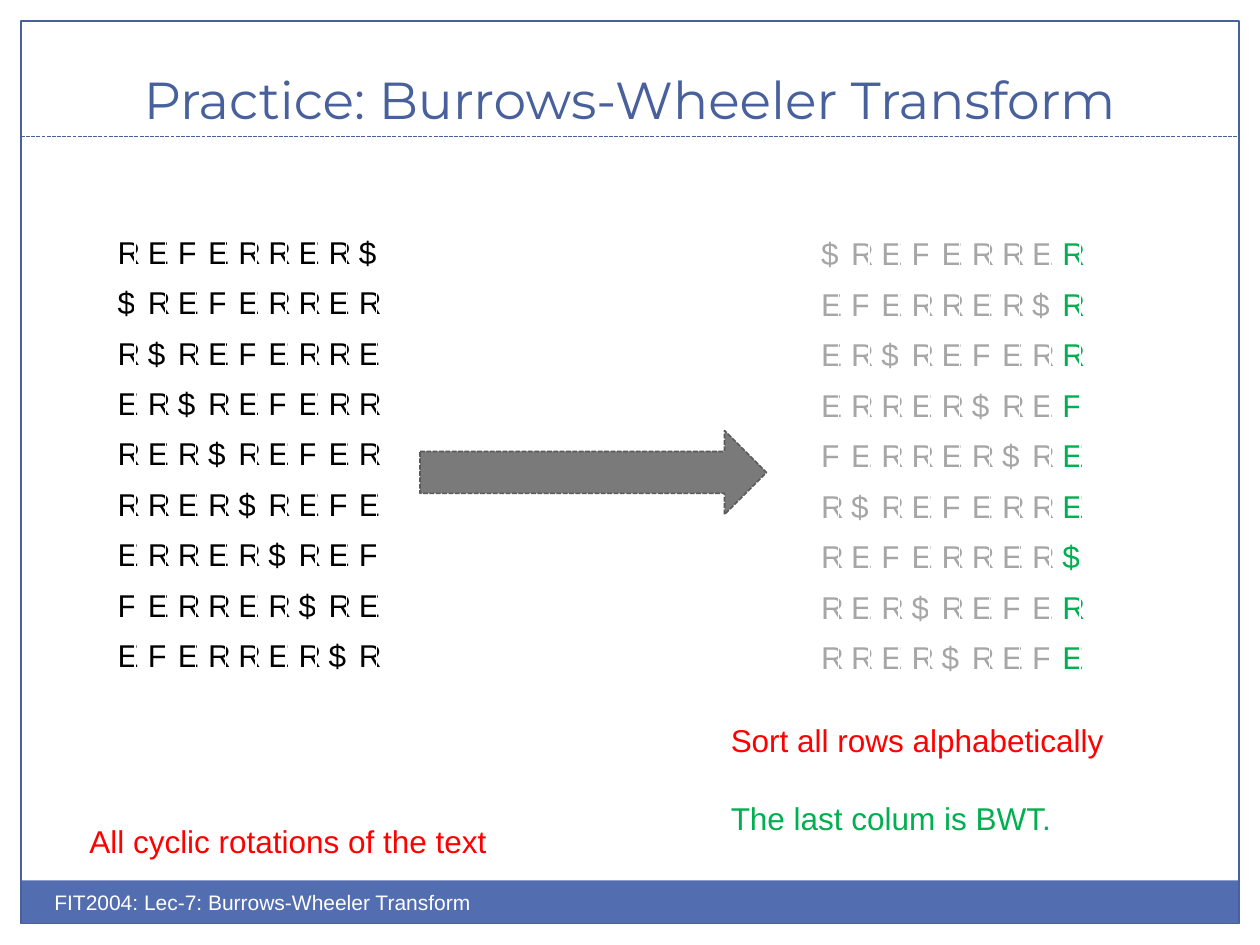
import pptx
import pptx.dml.color
import pptx.enum.dml
import pptx.enum.shapes
import pptx.enum.text
import pptx.oxml.ns
import pptx.util
from lxml import etree

Pt = pptx.util.Pt
RGBColor = pptx.dml.color.RGBColor
MSO_SHAPE = pptx.enum.shapes.MSO_SHAPE
MSO_ANCHOR = pptx.enum.text.MSO_ANCHOR
PP_ALIGN = pptx.enum.text.PP_ALIGN
DASH = pptx.enum.dml.MSO_LINE.SQUARE_DOT

BLUE = RGBColor(0x48, 0x60, 0x9B)
FOOTER_BLUE = RGBColor(0x52, 0x6D, 0xB0)
WHITE = RGBColor(0xFF, 0xFF, 0xFF)
BLACK = RGBColor(0x00, 0x00, 0x00)
RED = RGBColor(0xFF, 0x00, 0x00)
GREEN = RGBColor(0x00, 0xB0, 0x50)
LIGHT_GRAY = RGBColor(0xA6, 0xA6, 0xA6)
ARROW_FILL = RGBColor(0x7A, 0x7A, 0x7A)
ARROW_LINE = RGBColor(0x5A, 0x5A, 0x5A)

WORD = "REFERRER$"
COLUMN_WIDTH = 16.4
ROW_HEIGHT = 28.8


def style_paragraph(paragraph, size, color, font="Arial", align=PP_ALIGN.LEFT):
    paragraph.alignment = align
    for run in paragraph.runs:
        run.font.name = font
        run.font.size = Pt(size)
        run.font.color.rgb = color


def add_text(left, top, width, height, text):
    box = slide.shapes.add_textbox(Pt(left), Pt(top), Pt(width), Pt(height))
    box.text_frame.word_wrap = True
    box.text_frame.text = text
    return box.text_frame


presentation = pptx.Presentation()
presentation.slide_width = Pt(720)
presentation.slide_height = Pt(540)
slide = presentation.slides.add_slide(presentation.slide_layouts[6])

footer_bar = slide.shapes.add_shape(MSO_SHAPE.RECTANGLE, Pt(11.75), Pt(503), Pt(695.75), Pt(24.75))
footer_bar.shadow.inherit = False
footer_bar.fill.solid()
footer_bar.fill.fore_color.rgb = FOOTER_BLUE
footer_bar.line.fill.background()

frame = slide.shapes.add_shape(MSO_SHAPE.RECTANGLE, Pt(12), Pt(12), Pt(696), Pt(515.75))
frame.shadow.inherit = False
frame.fill.background()
frame.line.color.rgb = BLUE
frame.line.width = Pt(0.75)

title_rule = slide.shapes.add_connector(
    pptx.enum.shapes.MSO_CONNECTOR.STRAIGHT, Pt(12), Pt(78), Pt(708), Pt(78))
title_rule.line.color.rgb = BLUE
title_rule.line.width = Pt(0.75)
title_rule.line.dash_style = DASH
etree.SubElement(title_rule._element.spPr, pptx.oxml.ns.qn("a:effectLst"))

title = add_text(24, 18, 672, 60, "Practice: Burrows-Wheeler Transform")
title.vertical_anchor = MSO_ANCHOR.BOTTOM
style_paragraph(title.paragraphs[0], 29.7, BLUE, "Montserrat", PP_ALIGN.CENTER)

footer = add_text(24, 505, 360, 29, "FIT2004: Lec-7: Burrows-Wheeler Transform")
style_paragraph(footer.paragraphs[0], 12, WHITE)

rotation_label = add_text(44, 466, 244, 29, "All cyclic rotations of the text")
style_paragraph(rotation_label.paragraphs[0], 18, RED)

count = len(WORD)
rotations = [WORD[count - shift:] + WORD[:count - shift] for shift in range(count)]
tables = [
    (60, 131, rotations, BLACK, BLACK),
    (462, 132, sorted(rotations), LIGHT_GRAY, GREEN),
]
for left, top, rows, color, last_color in tables:
    table = slide.shapes.add_table(
        count, count, Pt(left), Pt(top), Pt(COLUMN_WIDTH * count), Pt(ROW_HEIGHT * count)).table
    table.first_row = False
    table.horz_banding = False
    for column in table.columns:
        column.width = Pt(COLUMN_WIDTH)
    for row, letters in zip(table.rows, rows):
        row.height = Pt(ROW_HEIGHT)
        for index, (cell, letter) in enumerate(zip(row.cells, letters)):
            cell.fill.background()
            cell.text_frame.text = letter
            letter_color = last_color if index == count - 1 else color
            style_paragraph(cell.text_frame.paragraphs[0], 18, letter_color, align=PP_ALIGN.CENTER)

arrow = slide.shapes.add_shape(MSO_SHAPE.RIGHT_ARROW, Pt(240), Pt(246), Pt(198), Pt(48))
arrow.shadow.inherit = False
arrow.fill.solid()
arrow.fill.fore_color.rgb = ARROW_FILL
arrow.line.color.rgb = ARROW_LINE
arrow.line.width = Pt(0.9)
arrow.line.dash_style = DASH

sort_label = add_text(410.5, 408.5, 230, 73, "Sort all rows alphabetically\nThe last colum is BWT.")
for paragraph, color in zip(sort_label.paragraphs, (RED, GREEN)):
    style_paragraph(paragraph, 18, color)
sort_label.paragraphs[1].space_before = Pt(22.7)

presentation.save("out.pptx")
